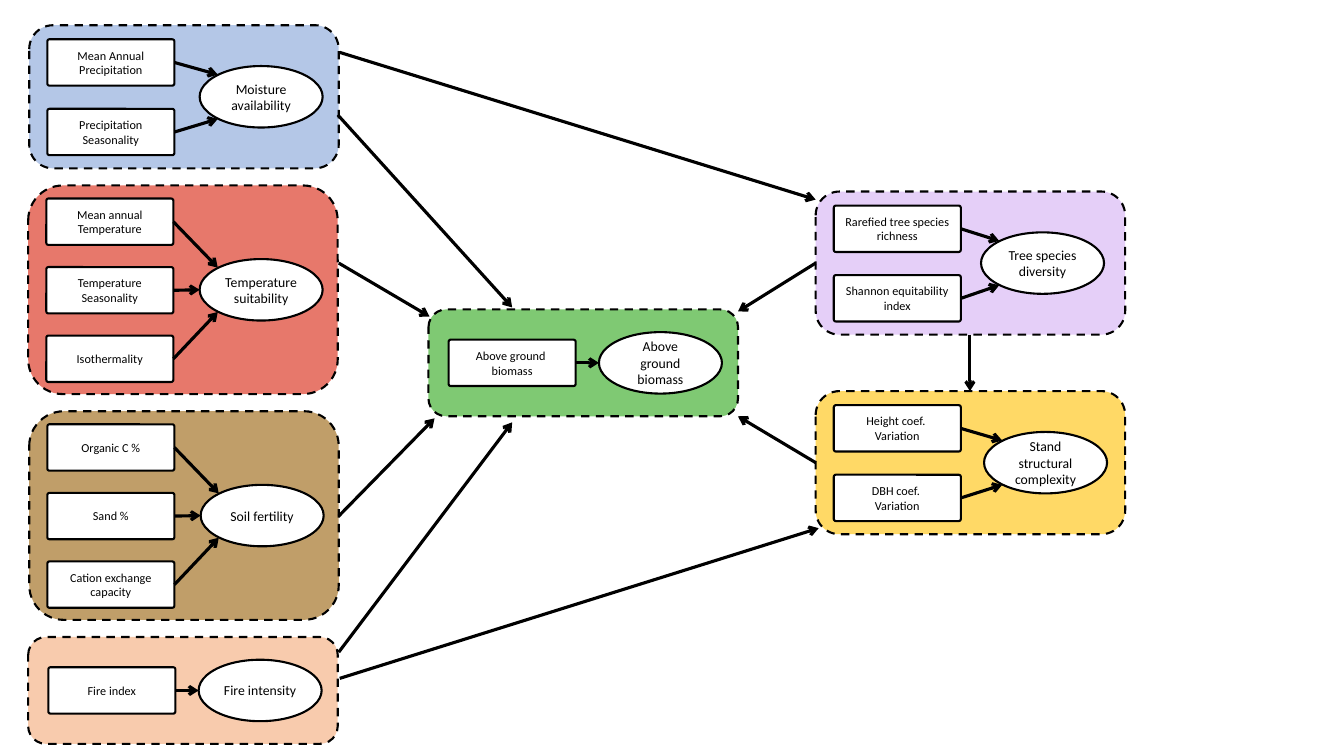
from lxml import etree
from pptx import Presentation
from pptx.dml.color import RGBColor
from pptx.enum.dml import MSO_LINE
from pptx.enum.shapes import MSO_CONNECTOR, MSO_SHAPE
from pptx.enum.text import MSO_ANCHOR, PP_ALIGN
from pptx.oxml.ns import qn
from pptx.util import Inches, Pt

ROUND = MSO_SHAPE.ROUNDED_RECTANGLE
OVAL = MSO_SHAPE.OVAL
STRAIGHT = MSO_CONNECTOR.STRAIGHT
DASH = MSO_LINE.DASH
MIDDLE = MSO_ANCHOR.MIDDLE
CENTER = PP_ALIGN.CENTER


def color(text):
    return RGBColor.from_string(text)


def add_node(kind, x, y, w, h, fill, text="", size=0):
    node = slide.shapes.add_shape(kind, Inches(x), Inches(y), Inches(w), Inches(h))
    node.shadow.inherit = False
    node.fill.solid()
    node.fill.fore_color.rgb = color(fill)
    node.line.color.rgb = color("000000")
    node.line.width = Pt(1.5)
    frame = node.text_frame
    frame.word_wrap = True
    frame.vertical_anchor = MIDDLE
    frame.margin_left = frame.margin_right = Inches(0.05)
    frame.margin_top = frame.margin_bottom = Inches(0.03)
    for i, line in enumerate(text.split("\n") if text else []):
        para = frame.add_paragraph() if i else frame.paragraphs[0]
        para.alignment = CENTER
        run = para.add_run()
        run.text = line
        run.font.name = "Calibri"
        run.font.size = Pt(size)
        run.font.color.rgb = color("000000")
    return node


deck = Presentation()
deck.slide_width = Inches(13.33)
deck.slide_height = Inches(7.5)
slide = deck.slides.add_slide(deck.slide_layouts[6])

panels = [
    (8.09, 3.88, "FFD966", 1.67, "Stand structural complexity",
     ["Height coef. \nVariation", "DBH coef. \nVariation"]),
    (8.09, 1.9, "E5CFF8", 1.64, "Tree species diversity",
     ["Rarefied tree species richness", "Shannon equitability index"]),
    (0.28, 6.32, "F8CBAD", 1.69, "Fire intensity", ["Fire index"]),
    (0.29, 0.25, "B4C7E7", 1.69, "Moisture availability",
     ["Mean Annual Precipitation", "Precipitation Seasonality"]),
    (0.29, 4.08, "A47326", 1.7, "Soil fertility",
     ["Organic C %", "Sand %", "Cation exchange capacity"]),
    (0.28, 1.84, "E7786B", 1.7, "Temperature suitability",
     ["Mean annual Temperature", "Temperature Seasonality", "Isothermality"]),
    (4.25, 3.07, "7FC973", 1.69, "Above ground biomass",
     ["Above ground \nbiomass"]),
]
layout = {1: (1.06, 0.2, 0.3, 0), 2: (1.42, 0.18, 0.14, 0.69), 3: (2.07, 0.18, 0.13, 0.68)}
panel_w, oval_w, oval_h, box_w, box_h = 3.07, 1.22, 0.61, 1.26, 0.46

arrows = [
    (9.62, 3.32, 9.62, 3.88),
    (8.09, 2.61, 7.32, 3.09),
    (8.09, 4.59, 7.32, 4.13),
    (3.36, 2.61, 4.26, 3.14),
    (3.36, 5.12, 4.31, 4.15),
    (3.37, 0.52, 8.09, 1.98),
    (3.37, 6.73, 8.12, 5.24),
    (3.35, 1.14, 5.08, 3.05),
    (3.36, 6.47, 5.08, 4.19),
]

for x, y, fill, shift, factor, inputs in panels:
    count = len(inputs)
    height, inset, top, pitch = layout[count]
    panel = add_node(ROUND, x, y, panel_w, height, fill)
    panel.line.dash_style = DASH
    if factor == "Soil fertility":
        tint = panel.fill._xPr.find(qn("a:solidFill"))[0]
        etree.SubElement(tint, qn("a:alpha"), val="69000")
    left, mid = x + shift, y + height / 2
    add_node(OVAL, left, mid - oval_h / 2, oval_w, oval_h, "FFFFFF", factor, 9.8)
    for i, label in enumerate(inputs):
        box_y = y + top + i * pitch
        box = add_node(ROUND, x + inset, box_y, box_w, box_h, "FFFFFF", label, 8.7)
        box.adjustments[0] = 0.045
        side = i - (count - 1) / 2
        tip_x = left + (0.18 if side else 0)
        tip_y = mid + (0.22 if side > 0 else -0.22 if side else 0)
        arrows.append((x + inset + box_w, box_y + box_h / 2, tip_x, tip_y))

for ends in arrows:
    arrow = slide.shapes.add_connector(STRAIGHT, *[Inches(end) for end in ends])
    arrow.line.color.rgb = color("000000")
    arrow.line.width = Pt(2.25)
    etree.SubElement(arrow.line._get_or_add_ln(), qn("a:tailEnd"), type="arrow")
    etree.SubElement(arrow._element.spPr, qn("a:effectLst"))

deck.save("out.pptx")
